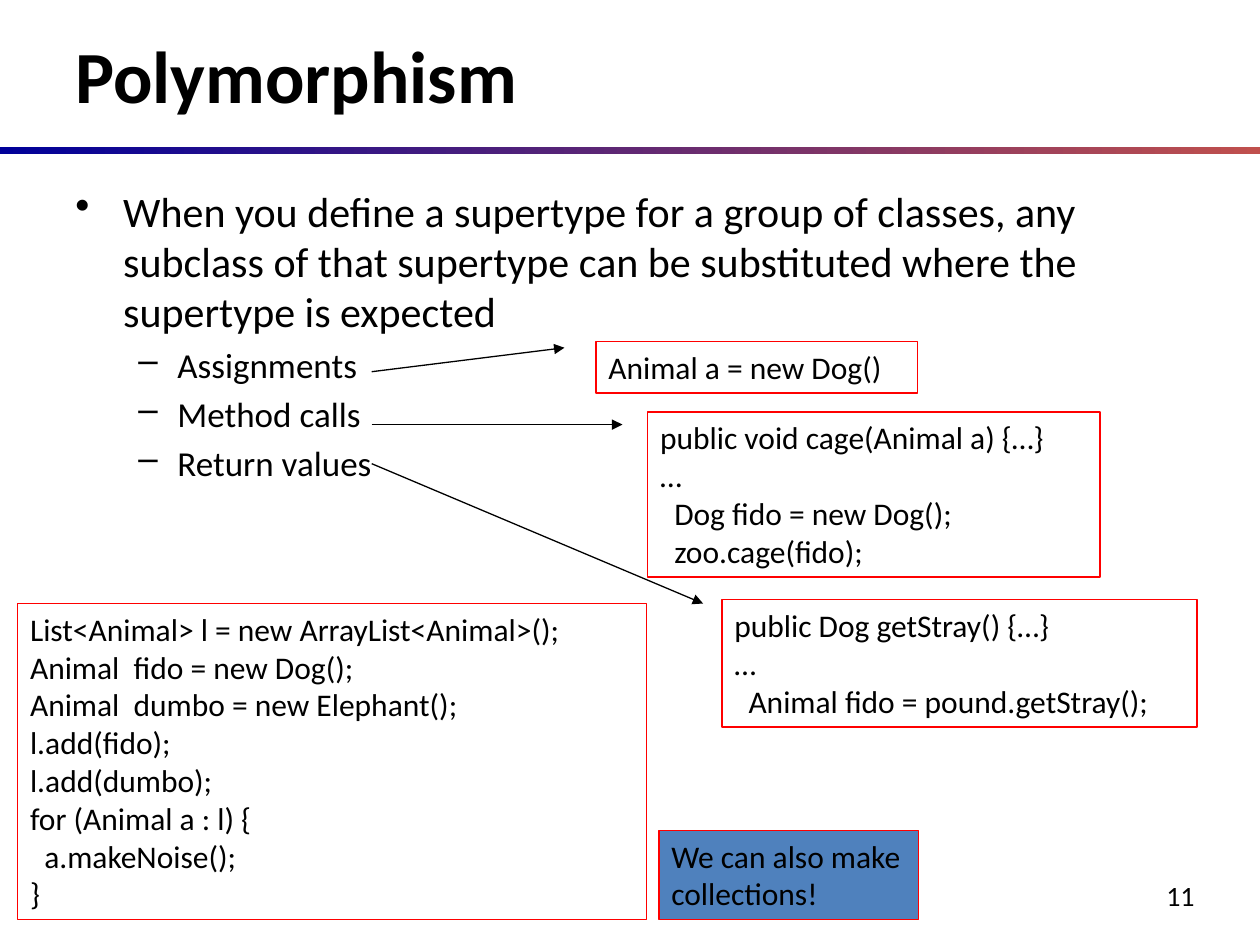
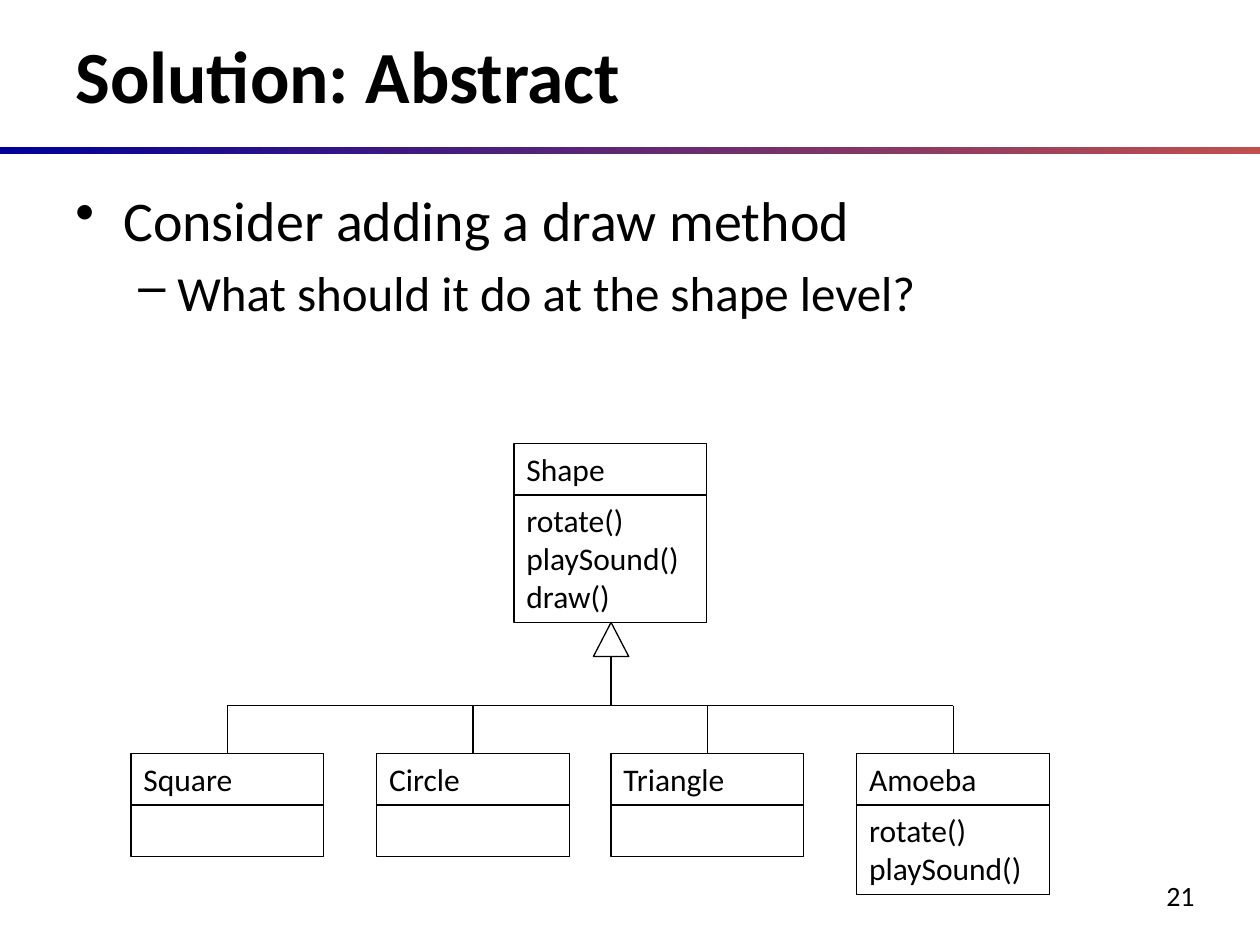
import pptx
import pptx.dml.color
import pptx.enum.shapes
import pptx.enum.text
import pptx.oxml.ns
import pptx.util
from lxml import etree

Inches = pptx.util.Inches
RGBColor = pptx.dml.color.RGBColor
AutoShape = pptx.enum.shapes.MSO_SHAPE
Align = pptx.enum.text.PP_ALIGN
Anchor = pptx.enum.text.MSO_ANCHOR
qn = pptx.oxml.ns.qn

BLACK = RGBColor(0x00, 0x00, 0x00)
RED = RGBColor(0xFF, 0x00, 0x00)
NAVY = RGBColor(0x00, 0x00, 0x99)
BRICK = RGBColor(0xC0, 0x50, 0x4D)
BLUE = RGBColor(0x4F, 0x81, 0xBD)
FONT = "Calibri"
LINE_WIDTH = pptx.util.Pt(0.75)


def write(shape, text, size, align=Align.LEFT, anchor=Anchor.TOP, bold=False):
    frame = shape.text_frame
    frame.word_wrap = True
    frame.vertical_anchor = anchor
    frame.text = text
    for paragraph in frame.paragraphs:
        paragraph.alignment = align
        paragraph.font.name = FONT
        paragraph.font.size = pptx.util.Pt(size)
        paragraph.font.bold = bold
        paragraph.font.color.rgb = BLACK


def add_box(slide, place, line, text="", fill=None, preset=AutoShape.RECTANGLE):
    shape = slide.shapes.add_shape(preset, *map(Inches, place))
    shape.shadow.inherit = False
    if fill is None:
        shape.fill.background()
    else:
        shape.fill.solid()
        shape.fill.fore_color.rgb = fill
    shape.line.color.rgb = line
    shape.line.width = LINE_WIDTH
    if text:
        write(shape, text, 18)


presentation = pptx.Presentation()
presentation.slide_width = Inches(10)
presentation.slide_height = Inches(7.5)

BULLETS = [("•", 0.38, 0.38), ("–", 0.81, 0.31)]
contents = [
    ("11", "Polymorphism", [
        (0, 24, "When you define a supertype for a group of classes, any subclass "
                "of that supertype can be substituted where the supertype is expected"),
        (1, 20, "Assignments"),
        (1, 20, "Method calls"),
        (1, 20, "Return values"),
    ]),
    ("21", "Solution: Abstract", [
        (0, 32, "Consider adding a draw method"),
        (1, 28, "What should it do at the shape level?"),
    ]),
]

for number, title, points in contents:
    slide = presentation.slides.add_slide(presentation.slide_layouts[6])

    band = slide.shapes.add_shape(
        AutoShape.RECTANGLE, 0, Inches(1.17), Inches(10), Inches(0.05))
    band.shadow.inherit = False
    band.line.fill.background()
    band.fill.gradient()
    band.fill.gradient_angle = 0
    for stop, color, position in zip(band.fill.gradient_stops, (NAVY, BRICK), (0, 1)):
        stop.color.rgb = color
        stop.position = position

    number_box = slide.shapes.add_textbox(
        Inches(8.58), Inches(6.92), Inches(1), Inches(0.37))
    write(number_box, number, 16, align=Align.RIGHT)

    title_box = slide.shapes.add_textbox(
        Inches(0.5), Inches(0.17), Inches(9.08), Inches(0.83))
    write(title_box, title, 42, anchor=Anchor.MIDDLE, bold=True)

    body = slide.shapes.add_textbox(
        Inches(0.5), Inches(1.42), Inches(9), Inches(5.42))
    write(body, "\n".join(text for level, size, text in points), 24)
    for paragraph, (level, size, text) in zip(body.text_frame.paragraphs, points):
        character, margin, hanging = BULLETS[level]
        paragraph.level = level
        paragraph.font.size = pptx.util.Pt(size)
        paragraph.space_before = pptx.util.Pt(size * 0.2)
        properties = paragraph._p.get_or_add_pPr()
        properties.set("marL", str(Inches(margin)))
        properties.set("indent", str(-Inches(hanging)))
        bullet = etree.Element(qn("a:buChar"), char=character)
        properties.find(qn("a:defRPr")).addprevious(bullet)

polymorphism, abstract = presentation.slides

code_boxes = [
    ((4.73, 2.71, 2.55, 0.41), "Animal a = new Dog()"),
    ((5.14, 3.27, 3.59, 1.31),
     "public void cage(Animal a) {…}\n…\n  Dog fido = new Dog();\n  zoo.cage(fido);"),
    ((5.73, 4.76, 3.77, 1.01),
     "public Dog getStray() {…}\n…\n  Animal fido = pound.getStray();"),
    ((0.14, 4.79, 4.99, 2.51),
     "List<Animal> l = new ArrayList<Animal>();\n"
     "Animal  fido = new Dog();\n"
     "Animal  dumbo = new Elephant();\n"
     "l.add(fido);\n"
     "l.add(dumbo);\n"
     "for (Animal a : l) {\n"
     "  a.makeNoise();\n"
     "}"),
]
for place, code in code_boxes:
    add_box(polymorphism, place, RED, code)
add_box(polymorphism, (5.23, 6.59, 2.06, 0.71), RED,
        "We can also make collections!", BLUE)

CLASS_WIDTH = 1.53
NAME_HEIGHT = 0.41
SUBCLASS_TOP = 5.98
classes = [
    ("Square", 1.04, SUBCLASS_TOP, 0.41, ""),
    ("Circle", 2.99, SUBCLASS_TOP, 0.41, ""),
    ("Triangle", 4.85, SUBCLASS_TOP, 0.41, ""),
    ("Amoeba", 6.8, SUBCLASS_TOP, 0.71, "rotate()\nplaySound()"),
    ("Shape", 4.08, 3.52, 1.01, "rotate()\nplaySound()\ndraw()"),
]
for name, left, top, methods_height, methods in classes:
    add_box(abstract, (left, top, CLASS_WIDTH, NAME_HEIGHT), BLACK, name)
    add_box(abstract, (left, top + NAME_HEIGHT, CLASS_WIDTH, methods_height),
            BLACK, methods)
add_box(abstract, (4.71, 4.94, 0.28, 0.27), BLACK,
        preset=AutoShape.ISOSCELES_TRIANGLE)

TRUNK_X = 4.85
BRANCH_Y = 5.6
subclass_centers = [left + CLASS_WIDTH / 2 for name, left, *rest in classes[:4]]
lines = [
    (polymorphism, (2.95, 2.95), (4.48, 2.76), True),
    (polymorphism, (2.95, 3.37), (4.94, 3.37), True),
    (polymorphism, (2.95, 3.68), (5.58, 4.79), True),
    (abstract, (TRUNK_X, 5.21), (TRUNK_X, BRANCH_Y), False),
    (abstract, (subclass_centers[0], BRANCH_Y), (subclass_centers[-1], BRANCH_Y), False),
]
for center in subclass_centers:
    lines.append((abstract, (center, BRANCH_Y), (center, SUBCLASS_TOP), False))

for slide, start, end, arrow in lines:
    connector = slide.shapes.add_connector(
        pptx.enum.shapes.MSO_CONNECTOR.STRAIGHT, *map(Inches, start + end))
    connector.line.color.rgb = BLACK
    connector.line.width = LINE_WIDTH
    if arrow:
        etree.SubElement(connector.line._get_or_add_ln(), qn("a:tailEnd"), type="triangle")
    etree.SubElement(connector._element.spPr, qn("a:effectLst"))

presentation.save("out.pptx")
